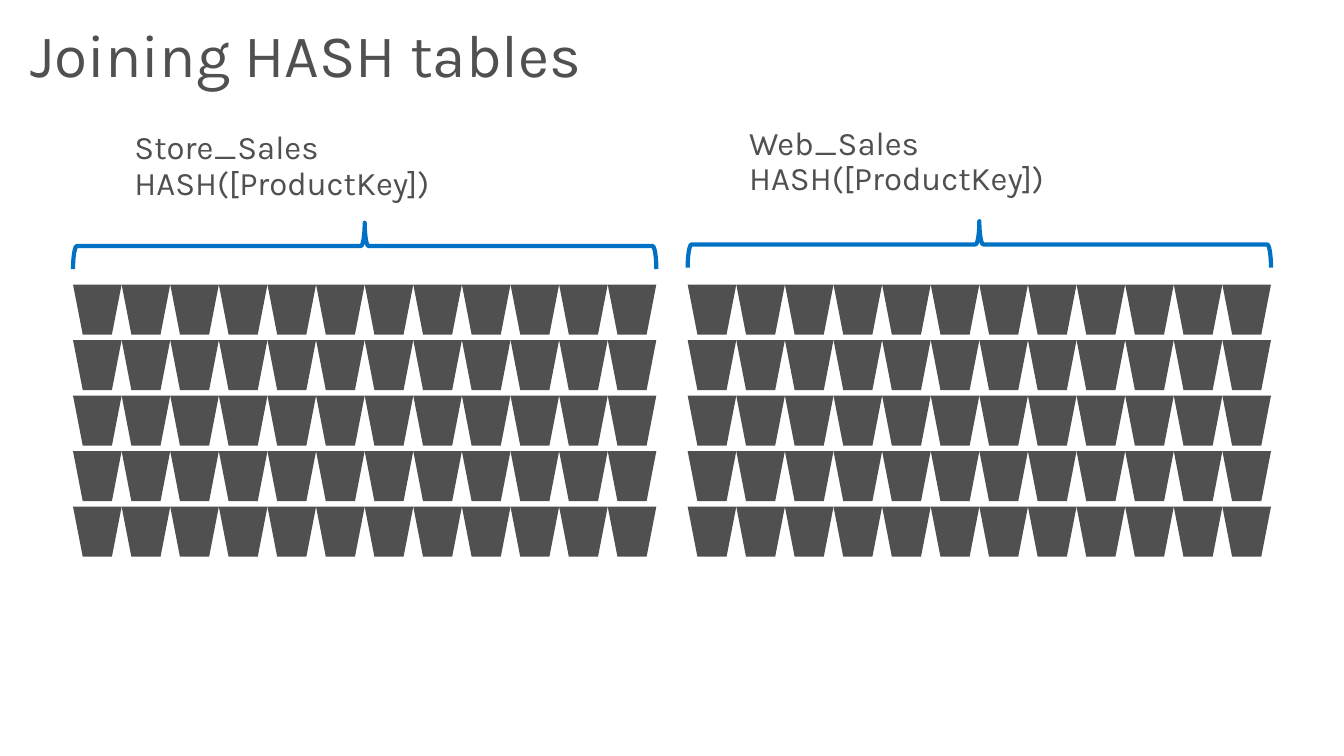
from pptx import Presentation
from pptx.dml.color import RGBColor
from pptx.enum.shapes import MSO_SHAPE as SHAPE
from pptx.enum.text import MSO_ANCHOR as ANCHOR
from pptx.util import Cm, Pt

GRAY = RGBColor(0x50, 0x50, 0x50)
BLUE = RGBColor(0x00, 0x72, 0xC6)
COLS, ROWS = 12, 5
TABLE_W = 14.7
BUCKET_W, BUCKET_H = TABLE_W / COLS, 1.26
ROW_STEP = 1.4
BRACE_W = 1.17


def add_text(text, box, insets, size):
    tf = s.shapes.add_textbox(*[Cm(v) for v in box]).text_frame
    tf.word_wrap = True
    tf.vertical_anchor = ANCHOR.TOP
    tf.margin_left, tf.margin_top, tf.margin_right, tf.margin_bottom = [Cm(v) for v in insets]
    p = tf.paragraphs[0]
    p.text = text
    p.line_spacing = 0.9
    p.font.name = "Karla"
    p.font.size = Pt(size)
    p.font.color.rgb = GRAY


prs = Presentation()
prs.slide_width, prs.slide_height = Cm(33.87), Cm(19.05)
s = prs.slides.add_slide(prs.slide_layouts[6])

# Title
add_text("Joining HASH tables", (0, 0, 33.87, 2.77), (0.76, 0.64, 0.25, 0.13), 43.1)

# Each table: name, left edge, brace centre, label top
tables = [
    ("Store_Sales", 1.84, 6.2, 2.9),
    ("Web_Sales", 17.33, 6.16, 2.79),
]
for name, left, brace_y, label_top in tables:
    # Grid of buckets
    group = s.shapes.add_group_shape()
    for row in range(ROWS):
        for col in range(COLS):
            bucket = group.shapes.add_shape(
                SHAPE.FLOWCHART_MANUAL_OPERATION,
                Cm(left + col * BUCKET_W), Cm(7.17 + row * ROW_STEP),
                Cm(BUCKET_W), Cm(BUCKET_H))
            bucket.shadow.inherit = False
            bucket.fill.solid()
            bucket.fill.fore_color.rgb = GRAY
            bucket.line.fill.background()

    # Brace, a left brace turned to span the grid
    brace = s.shapes.add_shape(
        SHAPE.LEFT_BRACE,
        Cm(left + (TABLE_W - BRACE_W) / 2), Cm(brace_y - TABLE_W / 2),
        Cm(BRACE_W), Cm(TABLE_W))
    brace.rotation = 90
    brace.shadow.inherit = False
    brace.fill.background()
    brace.line.color.rgb = BLUE
    brace.line.width = Pt(3)

    # Label, two lines in one paragraph
    add_text(f"{name}\vHASH([ProductKey])", (left + 1.04, label_top, 12.6, 2.82),
             (0.51, 0.41, 0.51, 0.41), 23.5)

prs.save("out.pptx")
